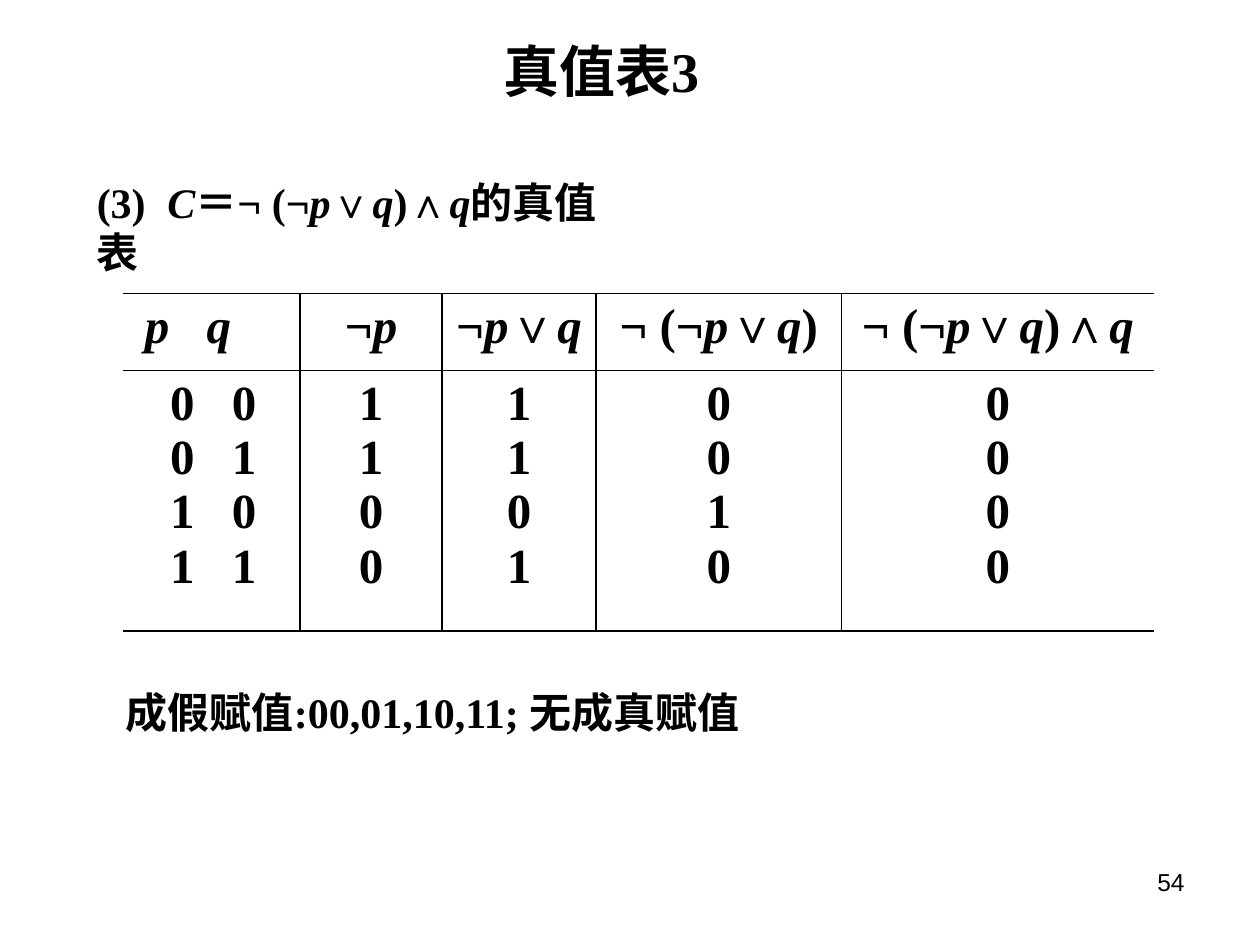
"""Build a slide with the truth table of a propositional formula."""
from itertools import groupby

from lxml import etree
from pptx import Presentation, util as u
from pptx.dml.color import RGBColor
from pptx.enum import text
from pptx.oxml.ns import qn

BLACK = RGBColor(0, 0, 0)
SERIF, SANS, CJK = "Times New Roman", "Arial", "Noto Sans CJK SC"
VARIABLES = "Cpq"
LEFT, CENTER, RIGHT = text.PP_ALIGN.LEFT, text.PP_ALIGN.CENTER, text.PP_ALIGN.RIGHT
TOP, MIDDLE = text.MSO_ANCHOR.TOP, text.MSO_ANCHOR.MIDDLE

TEXTS = [
    ("真值表3", (3.9, 0.24, 1.76, 0.63), 32, SERIF, True, LEFT, TOP),
    ("(3)\tC＝¬ (¬p∨q)∧q的真值表", (0.67, 1.55, 4.34, 0.5), 24, SERIF, True, LEFT, MIDDLE),
    ("成假赋值:00,01,10,11; 无成真赋值", (0.9, 5.4, 5.11, 0.5), 24, SERIF, True, LEFT, MIDDLE),
    ("54", (7.17, 6.83, 2.33, 0.52), 14, SANS, False, RIGHT, TOP),
]
HEADERS = ["p\tq", "¬p", "¬p∨q", "¬ (¬p∨q)", "¬ (¬p∨q)∧q"]
ROWS = [
    ("0\t0", 1, 1, 0, 0),
    ("0\t1", 1, 1, 0, 0),
    ("1\t0", 0, 0, 1, 0),
    ("1\t1", 0, 1, 0, 0),
]
TABLE_LEFT, TABLE_TOP = 0.98, 2.33
COL_WIDTHS = [1.4, 1.13, 1.22, 1.95, 2.48]
ROW_HEIGHTS = [0.61, 2.07]
PAIR_INDENTS = [0.17, 0.37]
PAIR_TAB, LABEL_TAB = 0.49, 0.56


def write(p, content, size, font, bold, align, tab):
    """Fill a paragraph, with the variables in italics."""
    p.alignment = align
    if "\t" in content:
        tabs = etree.SubElement(p._p.get_or_add_pPr(), qn("a:tabLst"))
        etree.SubElement(tabs, qn("a:tab"), pos=str(u.Inches(tab)), algn="l")
    for italic, chars in groupby(content, lambda c: c in VARIABLES):
        r = p.add_run()
        r.text = "".join(chars)
        f = r.font
        f.name, f.size, f.bold, f.italic = font, u.Pt(size), bold, italic
        f.color.rgb = BLACK
        etree.SubElement(r._r.get_or_add_rPr(), qn("a:ea"), typeface=CJK)


def set_borders(cell, col):
    """Rule the cell, leaving the table's outer sides open."""
    tc_pr = cell._tc.get_or_add_tcPr()
    drawn = {"L": col > 0, "R": col < len(HEADERS) - 1, "T": True, "B": True}
    for side, visible in drawn.items():
        ln = etree.SubElement(tc_pr, qn(f"a:ln{side}"), w=str(u.Pt(1)))
        if visible:
            fill = etree.SubElement(ln, qn("a:solidFill"))
            etree.SubElement(fill, qn("a:srgbClr"), val=str(BLACK))
        else:
            etree.SubElement(ln, qn("a:noFill"))


def add_truth_table(s):
    """Add the table: one header row and one row of stacked values."""
    box = (TABLE_LEFT, TABLE_TOP, sum(COL_WIDTHS), sum(ROW_HEIGHTS))
    tbl = s.shapes.add_table(2, len(HEADERS), *map(u.Inches, box)).table
    for row, height in zip(tbl.rows, ROW_HEIGHTS):
        row.height = u.Inches(height)
    for col, width in enumerate(COL_WIDTHS):
        tbl.columns[col].width = u.Inches(width)
        for row, lines in enumerate(([HEADERS[col]], [str(v[col]) for v in ROWS])):
            cell = tbl.cell(row, col)
            set_borders(cell, col)
            cell.fill.background()
            if col == 0:
                cell.margin_left = u.Inches(PAIR_INDENTS[row])
            tf = cell.text_frame
            for i, line in enumerate(lines):
                p = tf.add_paragraph() if i else tf.paragraphs[0]
                write(p, line, 28, SERIF, True, CENTER if col else LEFT, PAIR_TAB)


def main():
    """Create and save the slide."""
    prs = Presentation()
    prs.slide_width, prs.slide_height = u.Inches(10), u.Inches(7.5)
    s = prs.slides.add_slide(prs.slide_layouts[6])
    for content, box, size, font, bold, align, anchor in TEXTS:
        tf = s.shapes.add_textbox(*map(u.Inches, box)).text_frame
        tf.word_wrap = True
        tf.vertical_anchor = anchor
        write(tf.paragraphs[0], content, size, font, bold, align, LABEL_TAB)
    add_truth_table(s)
    prs.save("out.pptx")


if __name__ == "__main__":
    main()
